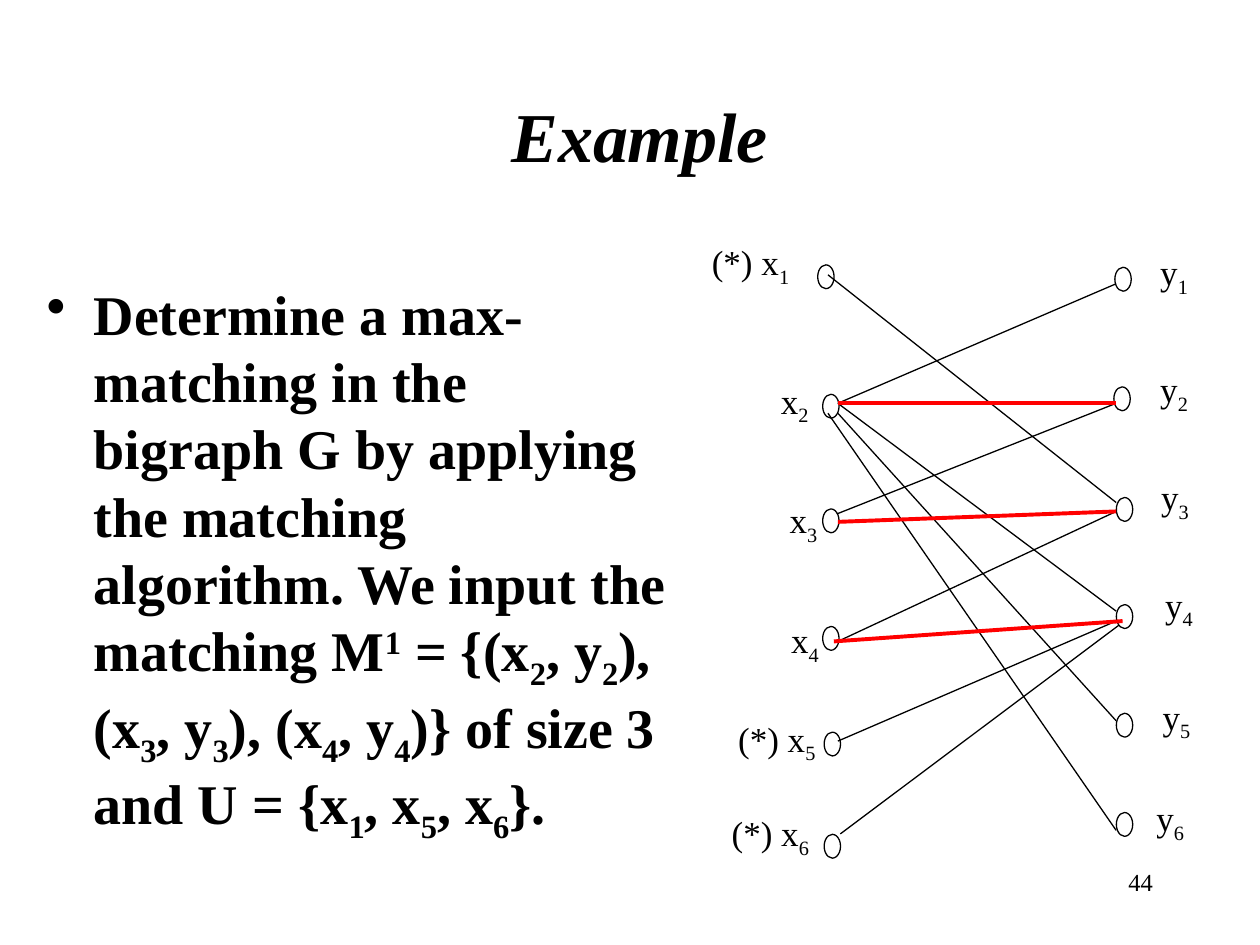
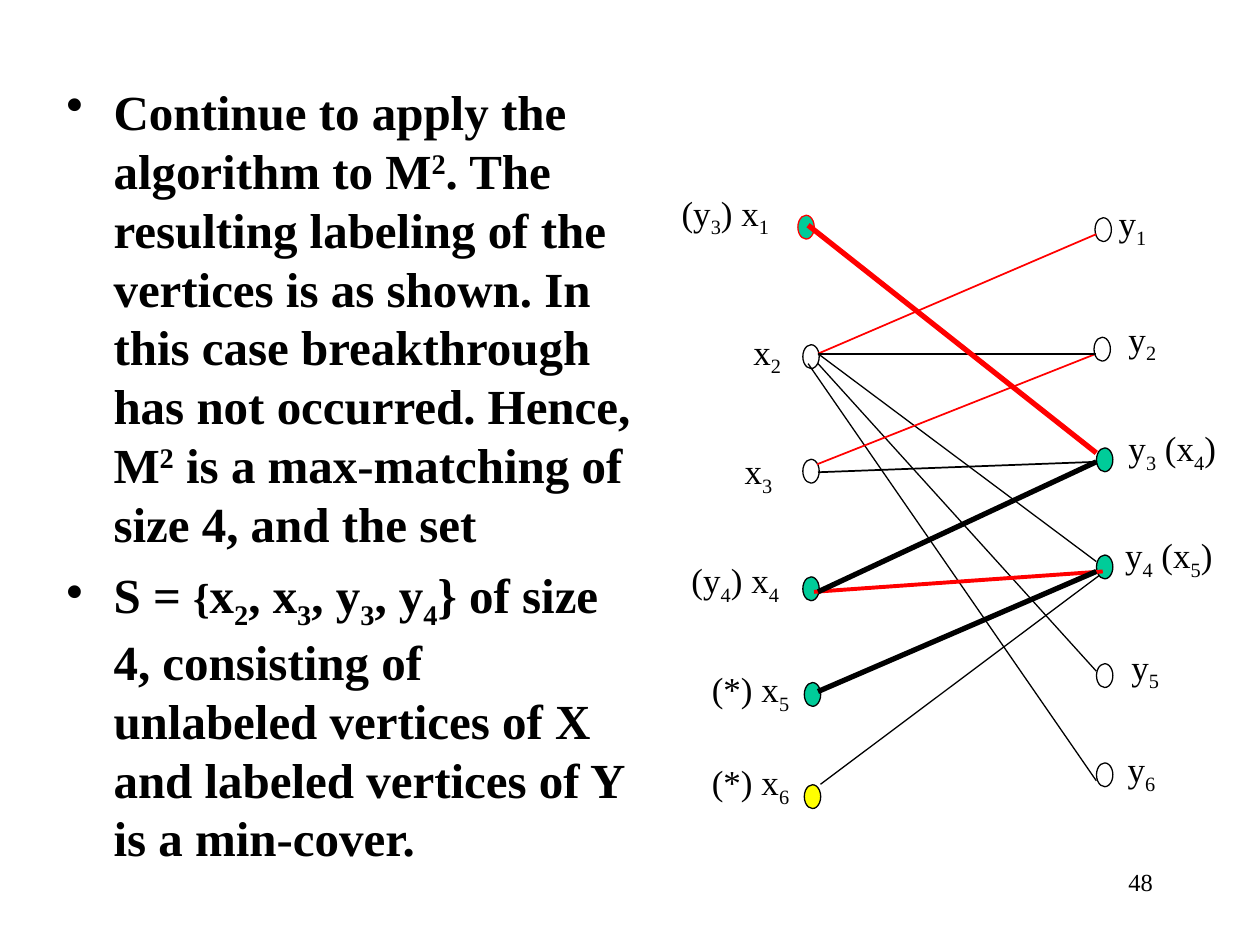
from lxml.etree import SubElement
from pptx import Presentation
from pptx.dml.color import RGBColor
from pptx.enum.shapes import MSO_CONNECTOR, MSO_SHAPE
from pptx.enum.text import MSO_ANCHOR, PP_ALIGN
from pptx.oxml.ns import qn
from pptx.util import Cm, Pt

HUES = {"ink": "000000", "red": "FF0000", "green": "00CC99", "gold": "FFFF00"}
FACE = "Times New Roman"

# Text formats
TITLE = {"size": Pt(40), "bold": True, "italic": True}
LABEL = {"size": Pt(20)}
PAGE = {"size": Pt(14)}

# Vertex centres of the bigraph, in cm
NODES = {
    "x1": (16.65, 5.58), "x2": (16.75, 8.19), "x3": (16.75, 10.5),
    "x4": (16.75, 12.87), "x5": (16.78, 15), "x6": (16.78, 17.06),
    "y1": (22.64, 5.63), "y2": (22.62, 8.04), "y3": (22.67, 10.27),
    "y4": (22.67, 12.43), "y5": (22.67, 14.62), "y6": (22.67, 16.62),
}
# Edges: start and end, in cm
EDGES = {
    "x2y1": (16.89, 8.13, 22.5, 5.72), "x2y4": (16.89, 8.13, 22.5, 12.32),
    "x2y5": (16.89, 8.33, 22.5, 14.53), "x2y6": (16.69, 8.33, 22.5, 16.74),
    "x3y2": (16.87, 10.36, 22.45, 8.15), "x3y3": (16.89, 10.52, 22.5, 10.31),
    "x6y4": (16.94, 16.81, 22.56, 12.6), "x2y2": (16.89, 8.13, 22.5, 8.13),
    "x5y4": (16.89, 14.94, 22.5, 12.52), "x4y4": (16.81, 12.93, 22.63, 12.52),
    "x4y3": (16.89, 12.93, 22.5, 10.31), "x1y3": (16.69, 5.54, 22.5, 10.13),
}
NODE_W, NODE_H = 0.33, 0.48
THIN = ("ink", 0.75)

# Slide 1: the given matching
FIRST = {
    "shift": (0, 0),
    "fills": {},
    "rims": {},
    "lines": dict.fromkeys(("x2y2", "x3y3", "x4y4"), ("red", 2.25)),
    "labels": [
        ("(*) x_1", 14.1, 4.72), ("x_2", 15.49, 7.52), ("x_3", 15.67, 9.93),
        ("x_4", 15.7, 12.34), ("(*) x_5", 14.63, 14.33), ("(*) x_6", 14.5, 16.23),
        ("y_1", 23.14, 4.93), ("y_2", 23.14, 7.29), ("y_3", 23.16, 9.47),
        ("y_4", 23.24, 11.63), ("y_5", 23.19, 13.89), ("y_6", 23.06, 15.93),
    ],
}
# Slide 2: the labelled vertices
LAST = {
    "shift": (-0.4, -1),
    "fills": {"x1": "green", "x4": "green", "x5": "green", "x6": "gold",
              "y3": "green", "y4": "green"},
    "rims": {"x1": "red"},
    "lines": {
        "x2y1": ("red", 1), "x3y2": ("red", 1), "x3y3": ("ink", 1),
        "x2y2": ("ink", 1), "x4y4": ("red", 2.25), "x5y4": ("ink", 3),
        "x4y3": ("ink", 3), "x1y3": ("red", 3),
    },
    "labels": [
        ("(y_3) x_1", 13.49, 3.73), ("x_2", 14.94, 6.53), ("x_3", 14.76, 8.94),
        ("(y_4) x_4", 13.69, 11.13), ("(*) x_5", 14.1, 13.34), ("(*) x_6", 14.1, 15.21),
        ("y_1", 22.3, 3.94), ("y_2", 22.5, 6.27), ("y_3 (x_4)", 22.5, 8.48),
        ("y_4 (x_5)", 22.43, 10.64), ("y_5", 22.56, 12.88), ("y_6", 22.48, 14.94),
    ],
}

# Body paragraphs: parts of (text, size); _ lowers the next letter, ^ raises it
TASK = [[("Determine a max-matching in the bigraph G by applying the matching "
          "algorithm. We input the matching M^1 = {(x_2, y_2), (x_3, y_3), "
          "(x_4, y_4)} of size 3 and U = {x_1, x_5, x_6}.", 32)]]
RESULT = [
    [("Continue to apply the algorithm to M^2. The resulting labeling of the "
      "vertices is as shown. In this case breakthrough has not occurred. Hence, "
      "M^2 is a max-matching of size 4, and the set", 28)],
    [("S = ", 28), ("{", 24),
     ("x_2, x_3, y_3, y_4} of size 4, consisting of unlabeled vertices of X "
      "and labeled vertices of Y is a min-cover.", 28)],
]


def rgb(name):
    return RGBColor.from_string(HUES[name])


def add_run(para, text, form, base=0):
    if not text:
        return
    run = para.add_run()
    run.text = text
    for key, val in {"name": FACE, **form}.items():
        setattr(run.font, key, val)
    run.font.color.rgb = rgb("ink")
    if base:
        run.font._element.set("baseline", str(base * 1000))


def write(para, text, form):
    """Write text, with the letter after _ lowered and after ^ raised."""
    head, *rest = text.replace("^", "_^").split("_")
    add_run(para, head, form)
    for part in rest:
        base = 30 if part[0] == "^" else -25
        part = part.lstrip("^")
        add_run(para, part[0], form, base)
        add_run(para, part[1:], form)


def add_box(slide, left, top, width, height):
    frame = slide.shapes.add_textbox(Cm(left), Cm(top), Cm(width), Cm(height)).text_frame
    frame.word_wrap = True
    return frame


def add_text(slide, text, form, area, align=PP_ALIGN.LEFT, anchor=MSO_ANCHOR.TOP):
    frame = add_box(slide, *area)
    frame.vertical_anchor = anchor
    para = frame.paragraphs[0]
    para.alignment = align
    write(para, text, form)


def add_list(slide, items, area, gap):
    frame = add_box(slide, *area)
    for i, parts in enumerate(items):
        para = frame.add_paragraph() if i else frame.paragraphs[0]
        if i:
            para.space_before = Pt(gap)
        props = para._p.get_or_add_pPr()
        props.set("marL", str(Cm(0.95)))
        props.set("indent", str(Cm(-0.95)))
        SubElement(props, qn("a:buChar")).set("char", "•")
        for text, size in parts:
            write(para, text, {"size": Pt(size), "bold": True})


def add_node(slide, x, y, fill, rim):
    node = slide.shapes.add_shape(MSO_SHAPE.OVAL, Cm(x - NODE_W / 2), Cm(y - NODE_H / 2),
                                  Cm(NODE_W), Cm(NODE_H))
    node.shadow.inherit = False
    if fill:
        node.fill.solid()
        node.fill.fore_color.rgb = rgb(fill)
    else:
        node.fill.background()
    node.line.color.rgb = rgb(rim)
    node.line.width = Pt(0.75)


def add_edge(slide, ends, hue, width):
    edge = slide.shapes.add_connector(MSO_CONNECTOR.STRAIGHT, *map(Cm, ends))
    edge.line.color.rgb = rgb(hue)
    edge.line.width = Pt(width)
    SubElement(edge._element.spPr, qn("a:effectLst"))


def add_graph(slide, graph):
    dx, dy = graph["shift"]
    for name, (x, y) in NODES.items():
        add_node(slide, x + dx, y + dy, graph["fills"].get(name),
                 graph["rims"].get(name, "ink"))
    # Heavier edges lie on top
    styles = {name: graph["lines"].get(name, THIN) for name in EDGES}
    for name in sorted(EDGES, key=lambda n: styles[n][1]):
        x1, y1, x2, y2 = EDGES[name]
        add_edge(slide, (x1 + dx, y1 + dy, x2 + dx, y2 + dy), *styles[name])
    for text, left, top in graph["labels"]:
        add_text(slide, text, LABEL, (left, top, 1.2 + 0.15 * len(text), 1.22))


def add_page(deck, number):
    slide = deck.slides.add_slide(deck.slide_layouts[6])
    add_text(slide, number, PAGE, (18.21, 17.35, 5.28, 1.27), PP_ALIGN.RIGHT)
    return slide


def main():
    deck = Presentation()
    deck.slide_width, deck.slide_height = Cm(25.4), Cm(19.05)

    # Example and input matching
    slide = add_page(deck, "44")
    add_text(slide, "Example", TITLE, (2.1, 1.12, 21.59, 3.18),
             PP_ALIGN.CENTER, MSO_ANCHOR.MIDDLE)
    add_list(slide, TASK, (0.69, 5.51, 13, 11.43), 8)
    add_graph(slide, FIRST)

    # Final labeling and min-cover
    slide = add_page(deck, "48")
    add_list(slide, RESULT, (1.09, 1.52, 11.99, 16.2), 7)
    add_graph(slide, LAST)

    deck.save("out.pptx")


if __name__ == "__main__":
    main()
